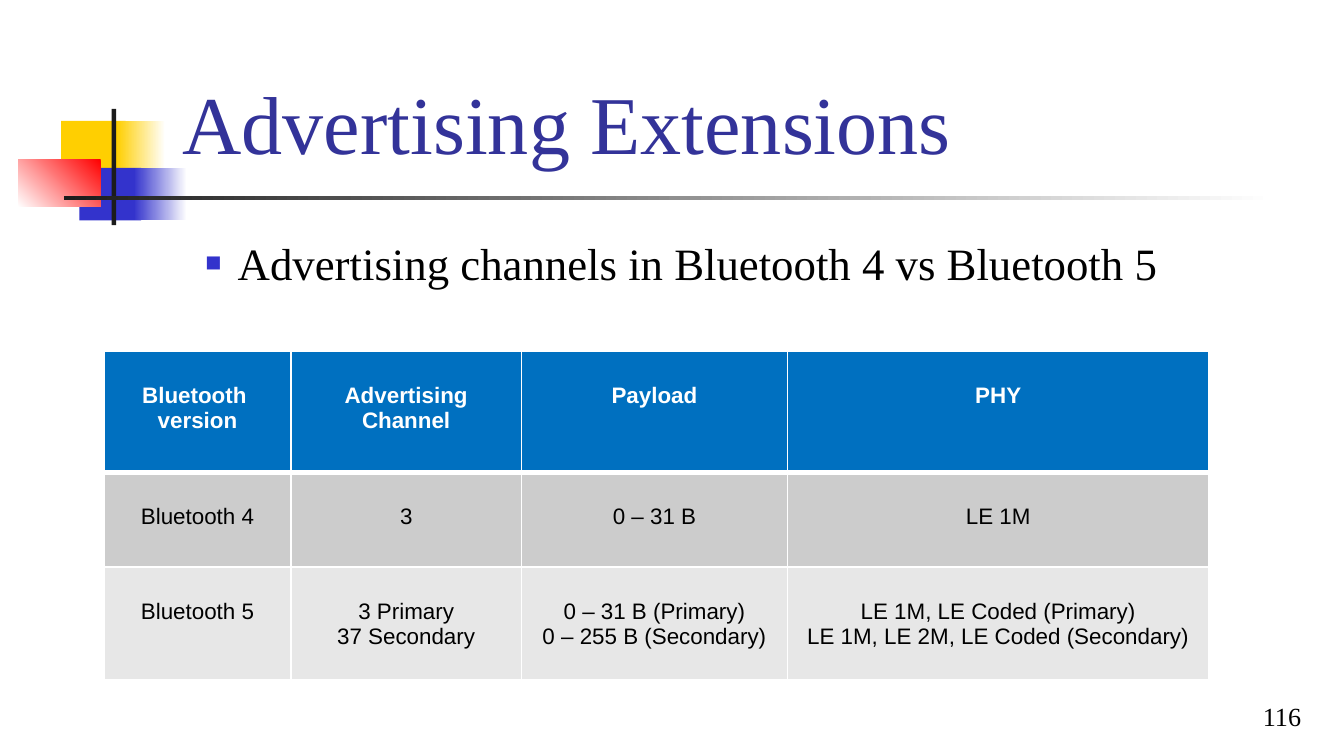
from lxml.etree import SubElement
from pptx import Presentation
from pptx.dml.color import RGBColor
from pptx.enum.shapes import MSO_SHAPE as Shape
from pptx.enum.text import MSO_ANCHOR as Anchor, PP_ALIGN as Align
from pptx.oxml.ns import qn
from pptx.util import Emu, Pt

PX = 4572  # 200 px to the inch
SERIF, SANS = "Times New Roman", "Arial"
COLORS = {
    "white": "FFFFFF", "black": "000000", "ink": "1C1C1C",
    "yellow": "FFCF01", "blue": "3333CC", "red": "FF0000", "title": "333399",
    "header": "0070C0", "row_dark": "CCCCCC", "row_light": "E7E7E7",
}
COLUMN_WIDTHS = (278, 343, 396, 627)
ROW_HEIGHTS = (180, 141, 168)
ROW_FILLS = ("header", "row_dark", "row_light")
ROWS = (
    (("Bluetooth ", "version"), ("Advertising", "Channel"), ("Payload",), ("PHY",)),
    (("Bluetooth 4",), ("3",), ("0 – 31 B",), ("LE 1M",)),
    (("Bluetooth 5",), ("3 Primary", "37 Secondary"),
     ("0 – 31 B (Primary)", "0 – 255 B (Secondary)"),
     ("LE 1M, LE Coded (Primary)", "LE 1M, LE 2M, LE Coded (Secondary)")),
)


def px(*lengths):
    return [Emu(length * PX) for length in lengths]


def rgb(name):
    return RGBColor.from_string(COLORS[name])


def add_bar(page, box, *colors, angle=180):
    """Add a borderless rectangle, solid for one colour and graded for two."""
    bar = page.shapes.add_shape(Shape.RECTANGLE, *px(*box))
    bar.shadow.inherit = False
    bar.line.fill.background()
    if len(colors) == 1:
        bar.fill.solid()
        bar.fill.fore_color.rgb = rgb(colors[0])
        return
    bar.fill.gradient()
    bar.fill.gradient_angle = angle
    for stop, color in zip(bar.fill.gradient_stops, colors):
        stop.color.rgb = rgb(color)


def add_run(para, text, size, font, color, bold=False):
    span = para.add_run()
    span.text = text
    span.font.size = Pt(size)
    span.font.name = font
    span.font.bold = bold
    span.font.color.rgb = rgb(color)


def add_text(page, box, text, size, color, anchor=Anchor.TOP, inset=20):
    frame = page.shapes.add_textbox(*px(*box)).text_frame
    frame.word_wrap = True
    frame.vertical_anchor = anchor
    frame.margin_left, frame.margin_right = px(20, 20)
    frame.margin_top, frame.margin_bottom = px(inset, inset)
    para = frame.paragraphs[0]
    add_run(para, text, size, SERIF, color)
    return para


def add_ornament(page, box):
    left, top, width, _ = box
    add_bar(page, (left + 64, top + 18, 96, 78), "yellow")
    add_bar(page, (left + 147, top + 18, 72, 78), "white", "yellow")
    add_bar(page, (left + 91, top + 88, 92, 78), "blue")
    add_bar(page, (left + 172, top + 88, 79, 78), "white", "blue")
    add_bar(page, (left, top + 75, 123, 71), "red", "white", angle=225)
    add_bar(page, (left + 139, top, 7, 173), "ink")
    add_bar(page, (left + 69, top + 130, width - 69, 6), "white", "ink")


def add_bullet_text(page, box, text):
    para = add_text(page, box, text, 24, "black")
    para.space_before = Pt(6.4)
    props = para._p.get_or_add_pPr()
    props.set("marL", str(76 * PX))
    props.set("indent", str(-48 * PX))
    SubElement(SubElement(props, qn("a:buClr")), qn("a:srgbClr"), val=COLORS["blue"])
    SubElement(props, qn("a:buSzPct"), val="60000")
    SubElement(props, qn("a:buFont"), typeface=SERIF)
    SubElement(props, qn("a:buChar"), char="■")


def set_borders(cell, bottom_width):
    props = cell._tc.get_or_add_tcPr()
    for index, side in enumerate(("lnL", "lnR", "lnT", "lnB")):
        width = bottom_width if side == "lnB" else 1
        line = props.makeelement(qn(f"a:{side}"), {"w": str(Pt(width))})
        fill = SubElement(line, qn("a:solidFill"))
        SubElement(fill, qn("a:srgbClr"), val=COLORS["white"])
        props.insert(index, line)


def fill_cell(cell, lines, fill, is_header):
    cell.fill.solid()
    cell.fill.fore_color.rgb = rgb(fill)
    set_borders(cell, 3 if is_header else 1)
    cell.margin_top = Emu(47 * PX)
    frame = cell.text_frame
    for index, text in enumerate(lines):
        para = frame.add_paragraph() if index else frame.paragraphs[0]
        para.alignment = Align.CENTER
        add_run(para, text, 12, SANS, "white" if is_header else "black", is_header)


def add_comparison_table(page, box):
    shape = page.shapes.add_table(len(ROWS), len(COLUMN_WIDTHS), *px(*box))
    table = shape.table
    for column, width in zip(table.columns, px(*COLUMN_WIDTHS)):
        column.width = width
    for row, height in zip(table.rows, px(*ROW_HEIGHTS)):
        row.height = height
    for row_index, (cells, fill) in enumerate(zip(ROWS, ROW_FILLS)):
        for column_index, lines in enumerate(cells):
            fill_cell(table.cell(row_index, column_index), lines, fill, row_index == 0)


def main():
    deck = Presentation()
    deck.slide_width, deck.slide_height = px(2000, 1125)
    page = deck.slides.add_slide(deck.slide_layouts[6])
    add_ornament(page, (27, 162, 1869, 173))
    add_text(page, (252, 36, 1704, 239), "Advertising Extensions", 44, "title", Anchor.BOTTOM)
    add_bullet_text(page, (258, 331, 1644, 676),
                    "Advertising channels in Bluetooth 4 vs Bluetooth 5")
    number = add_text(page, (1540, 1023, 416, 76), "116", 14, "black", Anchor.BOTTOM, inset=10)
    number.alignment = Align.RIGHT
    add_comparison_table(page, (155, 523, sum(COLUMN_WIDTHS), sum(ROW_HEIGHTS)))
    deck.save("out.pptx")


if __name__ == "__main__":
    main()
